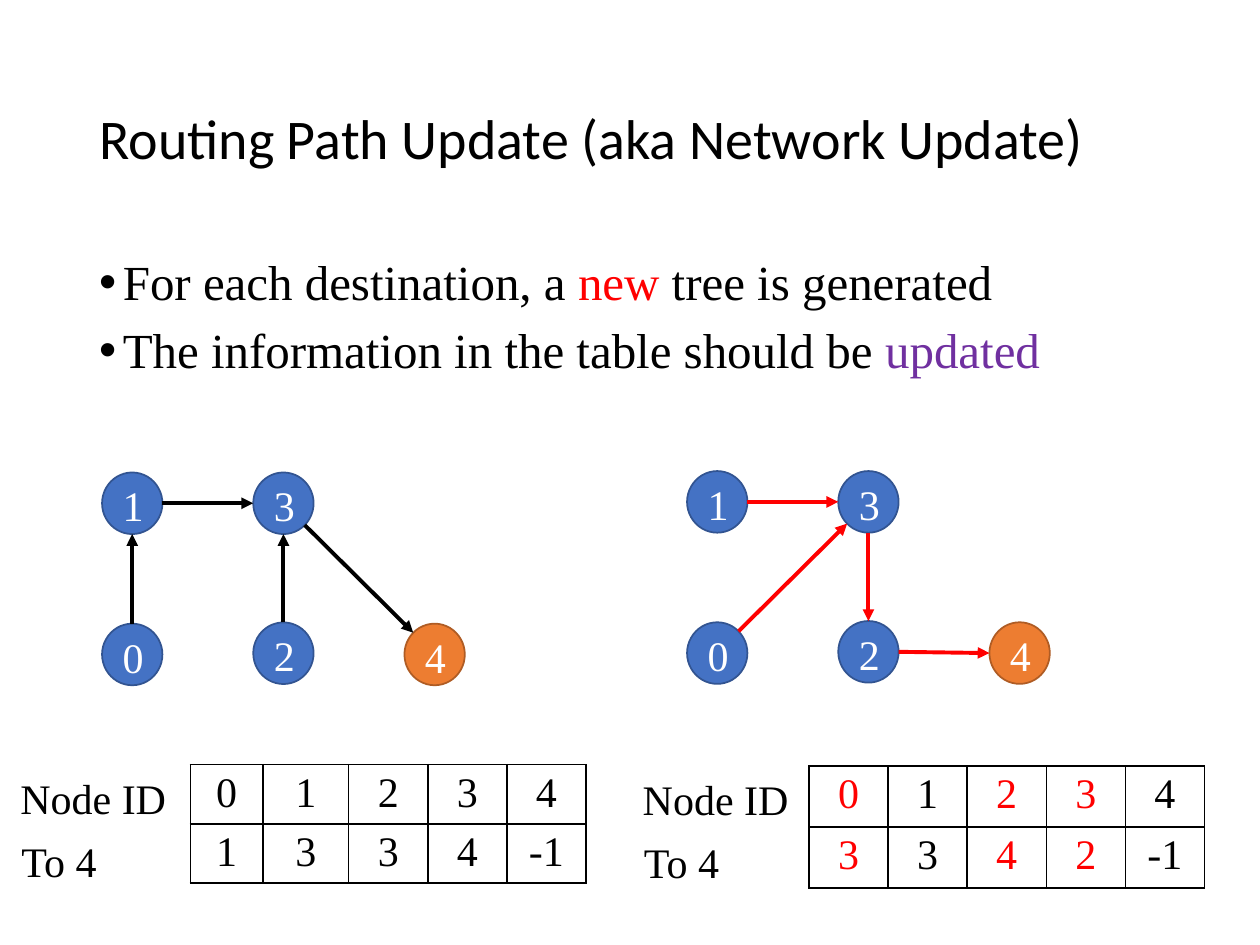
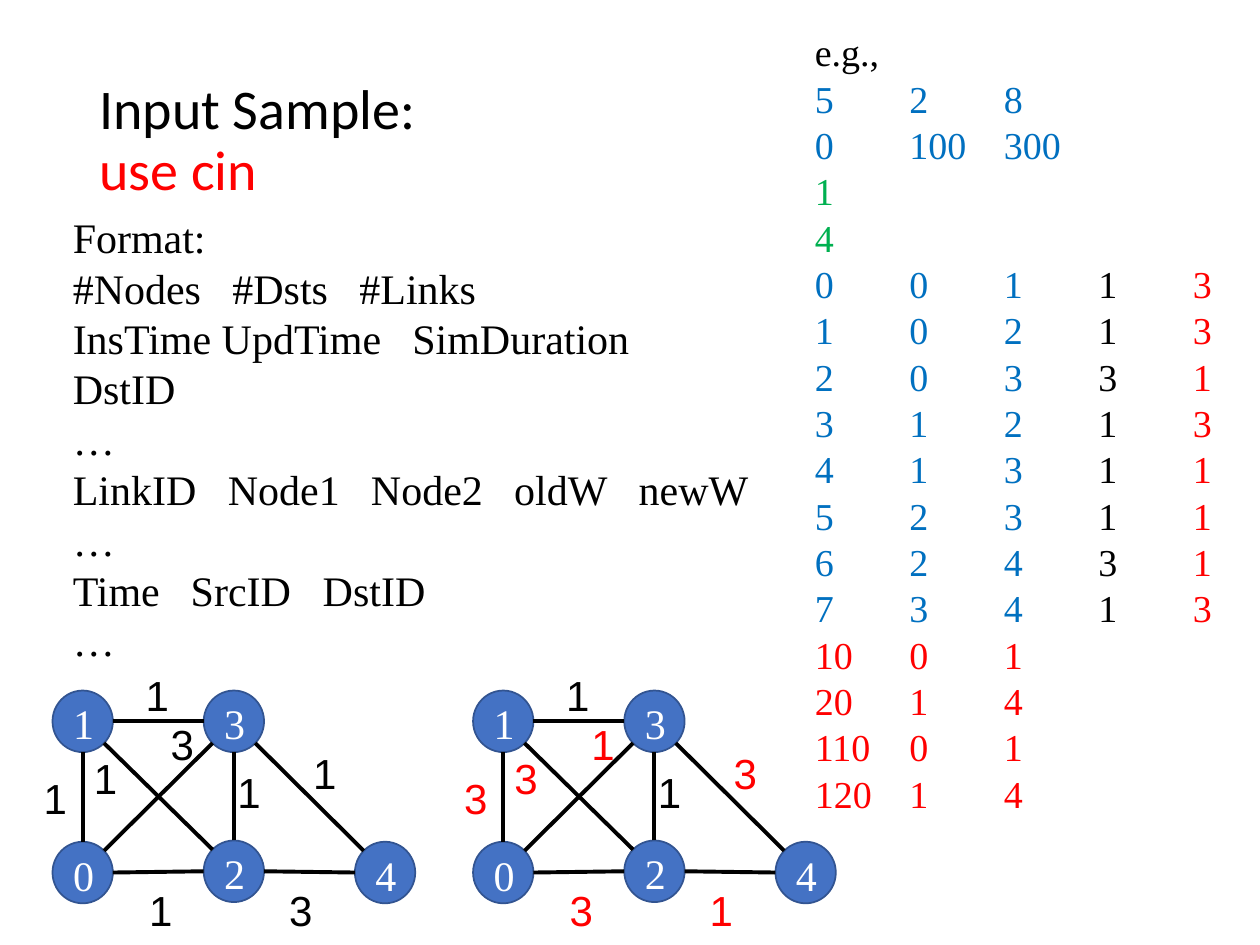
"""Build two slides on routing path updates and their input sample."""
import math

import pptx
import pptx.dml.color
import pptx.enum.shapes
import pptx.enum.text
import pptx.oxml
import pptx.oxml.ns
import pptx.util

Pt = pptx.util.Pt
RGB = pptx.dml.color.RGBColor
ALIGN = pptx.enum.text.PP_ALIGN
ANCHOR = pptx.enum.text.MSO_ANCHOR
NO_FIT = pptx.enum.text.MSO_AUTO_SIZE.NONE

BLACK = RGB(0x00, 0x00, 0x00)
WHITE = RGB(0xFF, 0xFF, 0xFF)
RED = RGB(0xFF, 0x00, 0x00)
PURPLE = RGB(0x70, 0x30, 0xA0)
SKY = RGB(0x00, 0x70, 0xC0)
GREEN = RGB(0x00, 0xB0, 0x50)
BLUE = RGB(0x44, 0x72, 0xC4)
BLUE_EDGE = RGB(0x32, 0x54, 0x91)
ORANGE = RGB(0xED, 0x7D, 0x31)
ORANGE_EDGE = RGB(0xAF, 0x5C, 0x24)

SERIF = {"name": "Times New Roman", "size": Pt(24)}
BODY = {"name": "Times New Roman", "size": Pt(28)}
SAMPLE = {"name": "Times New Roman", "size": Pt(21.7)}
WEIGHT = {"name": "Arial", "size": Pt(24)}
TITLE = {"name": "Calibri", "size": Pt(32)}

UPDATE_TITLE = [[("Routing Path Update (aka Network Update)", BLACK)]]
SAMPLE_TITLE = [[("Input Sample:", BLACK)], [("use cin", RED)]]
BULLETS = [
    [("For each destination, a ", BLACK), ("new", RED), (" tree is generated", BLACK)],
    [("The information in the table should be ", BLACK), ("updated", PURPLE)],
]

DESTINATION = 4
OLD_HOPS = [1, 3, 3, 4, -1]
NEW_HOPS = [3, 3, 4, 2, -1]
TREES = [
    dict(hops=OLD_HOPS, color=BLACK, graph=(58.3, 270), table=(108.8, 437),
         widths=[41.5, 49, 45.2, 45.2, 45.2], label=(4.5, 437.8)),
    dict(hops=NEW_HOPS, color=RED, graph=(392.6, 269.2), table=(462.3, 437.8),
         widths=[45.2] * 5, label=(360.2, 438.5)),
]

FORMAT_LINES = [
    ("Format:", []),
    ("#Nodes\t#Dsts\t#Links", [91.2, 163.8]),
    ("InsTime UpdTime\tSimDuration", [194]),
    ("DstID", []),
    ("…", []),
    ("LinkID\tNode1\tNode2\toldW\tnewW", [88.6, 170.4, 252.2, 323.4]),
    ("…", []),
    ("Time\tSrcID\tDstID", [67.4, 142.8]),
    ("…", []),
]
COUNTS = [(5, 2, 8), (0, 100, 300)]
DESTINATIONS = [1, 4]
LINKS = [(0, 1, 1, 3), (0, 2, 1, 3), (0, 3, 3, 1), (1, 2, 1, 3),
         (1, 3, 1, 1), (2, 3, 1, 1), (2, 4, 3, 1), (3, 4, 1, 3)]
PACKETS = [(10, 0, 1), (20, 1, 4), (110, 0, 1), (120, 1, 4)]
WEIGHTED_GRAPHS = [((30, 394.6), 2), ((270.3, 394.6), 3)]

NODE_GRID = {0: (0, 1), 1: (0, 0), 2: (1, 1), 3: (1, 0), 4: (2, 1)}
NODE_LIFT = {2: 0.7}
PITCH, NODE_W, NODE_H = 86.4, 34.5, 35.2
WEIGHT_OFFSETS = {
    (0, 1): (-12.2, 43.2), (1, 3): (46.1, -15.8), (3, 4): (141.8, 28.8),
    (0, 2): (48.2, 107.3), (2, 3): (98.6, 39.6), (2, 4): (128.2, 107.3),
    (0, 3): (60.5, 12.2), (1, 2): (16.6, 31.7),
}


def style(obj, **values):
    for key, value in values.items():
        setattr(obj, key, value)


def place(shape, left, top, width, height):
    style(shape, left=Pt(left), top=Pt(top), width=Pt(width), height=Pt(height))


def add_runs(p, runs, font):
    for text, color in runs:
        r = p.add_run()
        r.text = text
        style(r.font, **font)
        r.font.color.rgb = color


def add_tabs(p, stops):
    if stops:
        tabs = pptx.oxml.parse_xml(
            "<a:tabLst %s/>" % pptx.oxml.ns.nsdecls("a"))
        for stop in stops:
            tab = tabs.makeelement(pptx.oxml.ns.qn("a:tab"),
                                   {"pos": str(Pt(stop)), "algn": "l"})
            tabs.append(tab)
        p._p.get_or_add_pPr().append(tabs)


def fill_paragraphs(tf, rows, font, stops=None, gap=0, **values):
    for i, runs in enumerate(rows):
        p = tf.add_paragraph() if i else tf.paragraphs[0]
        add_tabs(p, stops[i] if stops else [])
        style(p, space_before=Pt(gap if i else 0), **values)
        add_runs(p, runs, font)


def add_box(shapes, box, rows, font, wrap=False, **values):
    tb = shapes.add_textbox(*map(Pt, box))
    style(tb.text_frame, word_wrap=wrap)
    fill_paragraphs(tb.text_frame, rows, font, **values)


def add_titled_slide(prs, layout, lines):
    s = prs.slides.add_slide(prs.slide_layouts[layout])
    place(s.shapes.title, 49.5, 28.8, 621, 104.4)
    tf = s.shapes.title.text_frame
    style(tf, vertical_anchor=ANCHOR.MIDDLE, auto_size=NO_FIT, word_wrap=True)
    p = tf.paragraphs[0]
    style(p, alignment=ALIGN.LEFT, line_spacing=0.9)
    for i, runs in enumerate(lines):
        if i:
            p.add_line_break()
        add_runs(p, runs, TITLE)
    return s


def node_center(origin, node):
    col, row = NODE_GRID[node]
    return (origin[0] + col * PITCH + NODE_W / 2,
            origin[1] + row * PITCH + NODE_H / 2 - NODE_LIFT.get(node, 0))


def add_node(shapes, origin, node, special):
    x, y = node_center(origin, node)
    sp = shapes.add_shape(pptx.enum.shapes.MSO_SHAPE.OVAL, Pt(x - NODE_W / 2),
                          Pt(y - NODE_H / 2), Pt(NODE_W), Pt(NODE_H))
    sp.shadow.inherit = False
    sp.fill.solid()
    sp.fill.fore_color.rgb = ORANGE if special else BLUE
    sp.line.color.rgb = ORANGE_EDGE if special else BLUE_EDGE
    sp.line.width = Pt(1)
    style(sp.text_frame, margin_left=Pt(1), margin_right=0, margin_top=Pt(2),
          margin_bottom=0, vertical_anchor=ANCHOR.MIDDLE)
    fill_paragraphs(sp.text_frame, [[(str(node), WHITE)]], SERIF,
                    alignment=ALIGN.CENTER)


def add_edge(shapes, origin, start, end, color, arrow):
    (c1, r1), (c2, r2) = NODE_GRID[start], NODE_GRID[end]
    reach = math.hypot(c2 - c1, r2 - r1)
    dx = (c2 - c1) / reach * NODE_W / 2
    dy = (r2 - r1) / reach * NODE_H / 2
    (x1, y1), (x2, y2) = node_center(origin, start), node_center(origin, end)
    line = shapes.add_connector(pptx.enum.shapes.MSO_CONNECTOR.STRAIGHT,
                                Pt(x1 + dx), Pt(y1 + dy), Pt(x2 - dx), Pt(y2 - dy))
    line.line.color.rgb = color
    line.line.width = Pt(2.25)
    ns = pptx.oxml.ns.nsdecls("a")
    if arrow:
        line.line._get_or_add_ln().append(
            pptx.oxml.parse_xml('<a:tailEnd %s type="triangle"/>' % ns))
    line._element.spPr.append(pptx.oxml.parse_xml("<a:effectLst %s/>" % ns))


def add_graph(s, origin, edges, color=BLACK, arrow=False, special=None):
    shapes = s.shapes.add_group_shape().shapes
    for node in NODE_GRID:
        add_node(shapes, origin, node, node == special)
    for start, end in edges:
        add_edge(shapes, origin, start, end, color, arrow)
    return shapes


def add_borders(cell):
    tcPr = cell._tc.get_or_add_tcPr()
    for i, side in enumerate("LRTB"):
        tcPr.insert(i, pptx.oxml.parse_xml(
            '<a:ln%s %s w="12700"><a:solidFill><a:srgbClr val="%s"/></a:solidFill></a:ln%s>'
            % (side, pptx.oxml.ns.nsdecls("a"), BLACK, side)))


def add_hop_table(s, tree):
    hops, widths, row_height = tree["hops"], tree["widths"], 33.75
    table = s.shapes.add_table(2, len(hops), *map(Pt, tree["table"]),
                               Pt(sum(widths)), Pt(2 * row_height)).table
    style(table, first_row=False, horz_banding=False)
    for row in table.rows:
        row.height = Pt(row_height)
    for node, hop in enumerate(hops):
        table.columns[node].width = Pt(widths[node])
        color = BLACK if hop == OLD_HOPS[node] else RED
        for row, value in enumerate((node, hop)):
            cell = table.cell(row, node)
            cell.fill.background()
            add_borders(cell)
            style(cell, margin_left=Pt(3), margin_right=Pt(3),
                  margin_top=Pt(3), margin_bottom=Pt(3))
            fill_paragraphs(cell.text_frame, [[(str(value), color)]], SERIF,
                            alignment=ALIGN.CENTER)


def build_update_slide(prs):
    s = add_titled_slide(prs, 1, UPDATE_TITLE)
    body = s.placeholders[1]
    place(body, 49.5, 144, 621, 342.7)
    style(body.text_frame, auto_size=NO_FIT, word_wrap=True)
    fill_paragraphs(body.text_frame, BULLETS, BODY, gap=8.5, line_spacing=0.9)
    for p in body.text_frame.paragraphs:
        pPr = p._p.get_or_add_pPr()
        pPr.set("marL", str(Pt(13.5)))
        pPr.set("indent", str(-Pt(13.5)))
    for tree in TREES:
        edges = [(n, hop) for n, hop in enumerate(tree["hops"]) if hop >= 0]
        add_graph(s, tree["graph"], edges, tree["color"], True, DESTINATION)
        add_hop_table(s, tree)
        left, top = tree["label"]
        add_box(s.shapes, (left, top, 103.5, 36), [[("Node ID", BLACK)]], SERIF)
        add_box(s.shapes, (left + 0.7, top + 36, 64, 36),
                [[(f"To {DESTINATION}", BLACK)]], SERIF)


def sample_rows():
    def join(values):
        return "\t".join(map(str, values))

    return ([[("e.g.,", BLACK)]]
            + [[(join(row), SKY)] for row in COUNTS]
            + [[(str(dst), GREEN)] for dst in DESTINATIONS]
            + [[(join((i, a, b)) + "\t", SKY), (f"{old}\t", BLACK), (str(new), RED)]
               for i, (a, b, old, new) in enumerate(LINKS)]
            + [[(join(row), RED)] for row in PACKETS])


def build_sample_slide(prs):
    s = add_titled_slide(prs, 5, SAMPLE_TITLE)
    rows = sample_rows()
    columns = [54 * i for i in range(1, 5)]
    add_box(s.shapes, (458.6, 20, 255, 463), rows, SAMPLE, wrap=True,
            stops=[columns] * len(rows), gap=8.25, line_spacing=0.7)
    add_box(s.shapes, (34.5, 117.4, 422, 269.3),
            [[(text, BLACK)] for text, _ in FORMAT_LINES], SERIF, wrap=True,
            stops=[stops for _, stops in FORMAT_LINES], line_spacing=Pt(28.8))
    for origin, weight_column in WEIGHTED_GRAPHS:
        shapes = add_graph(s, origin, [link[:2] for link in LINKS])
        for link in LINKS:
            dx, dy = WEIGHT_OFFSETS[link[:2]]
            weight = link[weight_column]
            color = BLACK if weight == link[2] else RED
            add_box(shapes, (origin[0] + dx, origin[1] + dy, 28, 36),
                    [[(str(weight), color)]], WEIGHT)


def main():
    prs = pptx.Presentation()
    style(prs, slide_width=Pt(720), slide_height=Pt(540))
    build_update_slide(prs)
    build_sample_slide(prs)
    prs.save("out.pptx")


if __name__ == "__main__":
    main()
